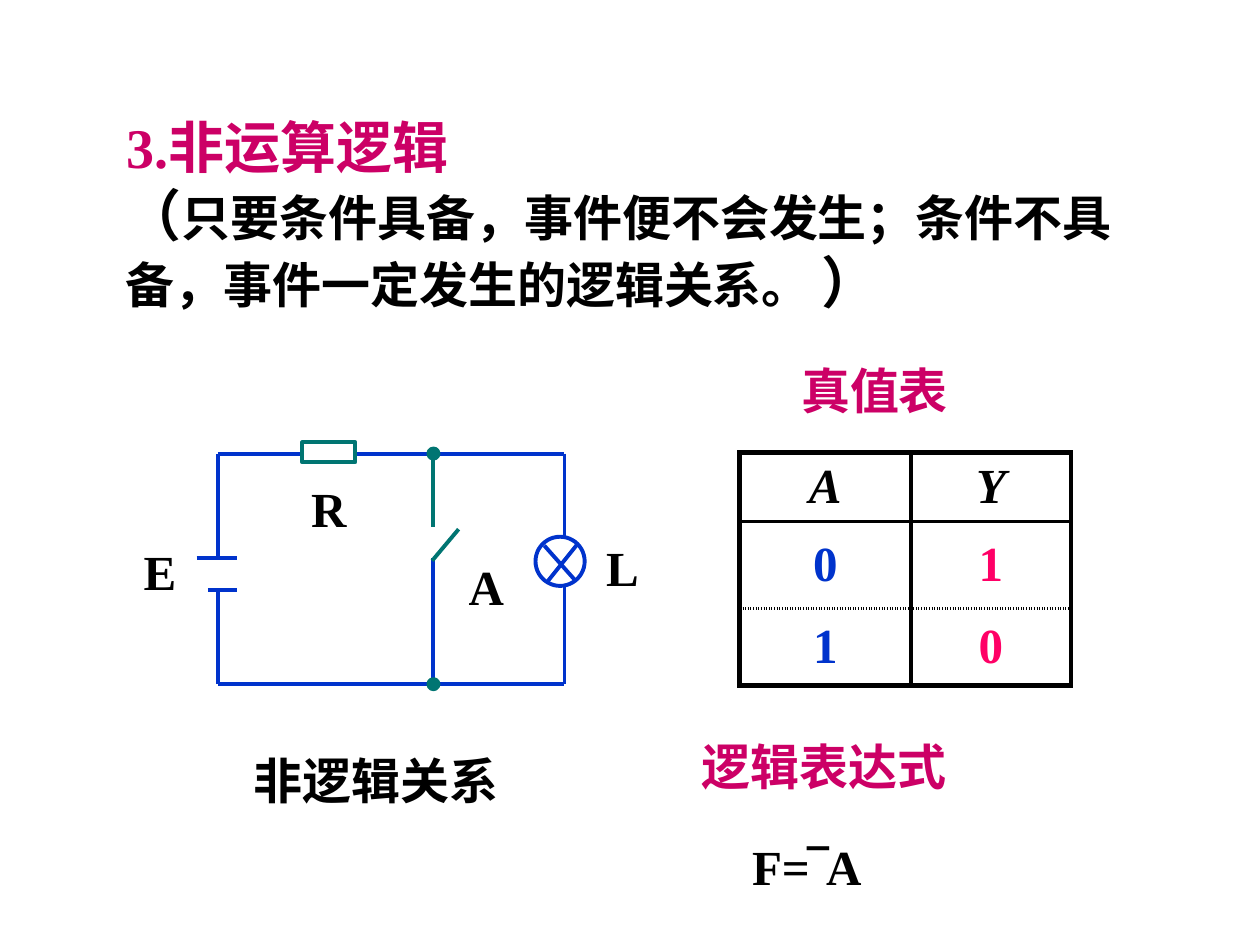
from dataclasses import dataclass

from lxml import etree
from pptx import Presentation
from pptx.dml.color import RGBColor
from pptx.enum.shapes import MSO_CONNECTOR, MSO_SHAPE
from pptx.enum.text import MSO_ANCHOR, MSO_AUTO_SIZE, PP_ALIGN
from pptx.oxml.ns import qn
from pptx.util import Inches, Pt

STRAIGHT = MSO_CONNECTOR.STRAIGHT
OVAL, RECTANGLE = MSO_SHAPE.OVAL, MSO_SHAPE.RECTANGLE
LEFT, CENTER = PP_ALIGN.LEFT, PP_ALIGN.CENTER
TOP, MIDDLE = MSO_ANCHOR.TOP, MSO_ANCHOR.MIDDLE
NO_AUTOFIT = MSO_AUTO_SIZE.NONE


@dataclass(frozen=True)
class Theme:
    font: str = "Times New Roman"
    symbol_font: str = "Arial"
    black: str = "000000"
    white: str = "FFFFFF"
    heading: str = "CC0066"
    blue: str = "0033CC"
    teal: str = "007572"
    output: str = "FF0066"
    heading_size: int = 32
    body_size: int = 28
    thin: float = 2.25
    thick: float = 3


THEME = Theme()


def color(value):
    return RGBColor.from_string(value)


def style_paragraph(paragraph, text_color, size=THEME.body_size, align=LEFT, italic=False):
    paragraph.alignment = align
    font = paragraph.font
    font.name, font.size = THEME.font, Pt(size)
    font.bold, font.italic = True, italic
    font.color.rgb = color(text_color)


def place(shape, box):
    shape.left, shape.top, shape.width, shape.height = map(Inches, box)


def add_text(shapes, text, box, text_color=THEME.black, align=LEFT, margins=(0.1, 0.05)):
    frame = shapes.add_textbox(*map(Inches, box)).text_frame
    frame.word_wrap = True
    frame.margin_left = frame.margin_right = Inches(margins[0])
    frame.margin_top = frame.margin_bottom = Inches(margins[1])
    paragraph = frame.paragraphs[0]
    paragraph.text = text
    style_paragraph(paragraph, text_color, align=align)
    return paragraph


def add_label(shapes, text, box):
    add_text(shapes, text, box, align=CENTER, margins=(0.02, 0.01))


def add_wire(shapes, start, end, line_color=THEME.blue):
    wire = shapes.add_connector(STRAIGHT, *map(Inches, start + end))
    wire.line.color.rgb = color(line_color)
    wire.line.width = Pt(THEME.thin)
    etree.SubElement(wire._element.spPr, qn("a:effectLst"))


def add_part(shapes, kind, box, line_color, fill=None):
    part = shapes.add_shape(kind, *map(Inches, box))
    part.shadow.inherit = False
    part.line.color.rgb = color(line_color)
    part.line.width = Pt(THEME.thin)
    if fill:
        part.fill.solid()
        part.fill.fore_color.rgb = color(fill)
    else:
        part.fill.background()


def add_title(slide):
    title = slide.shapes.title
    place(title, (0.9, 0.84, 8.19, 0.6))
    frame = title.text_frame
    frame.auto_size = NO_AUTOFIT
    frame.vertical_anchor = TOP
    paragraph = frame.paragraphs[0]
    paragraph.text = "3.非运算逻辑"
    style_paragraph(paragraph, THEME.heading, THEME.heading_size)


def add_definition(shapes):
    paragraph = add_text(shapes, "", (0.9, 1.38, 8.19, 1.16))
    sentence = "只要条件具备，事件便不会发生；条件不具备，事件一定发生的逻辑关系。 "
    for text, size in (
        ("（", THEME.heading_size),
        (sentence, THEME.body_size),
        ("）", THEME.heading_size),
    ):
        run = paragraph.add_run()
        run.text = text
        run.font.size = Pt(size)


def add_circuit(slide):
    shapes = slide.shapes.add_group_shape().shapes
    left, switch, right = 1.73, 3.44, 4.48
    top, bottom = 3.6, 5.43
    for start, end in (
        ((left, top), (right, top)),
        ((left, bottom), (right, bottom)),
        ((left, top), (left, 4.43)),
        ((left, 4.68), (left, bottom)),
        ((1.56, 4.43), (1.88, 4.43)),
        ((1.65, 4.68), (1.88, 4.68)),
        ((switch, 4.43), (switch, bottom)),
        ((right, top), (right, 4.26)),
        ((right, 4.66), (right, bottom)),
        ((4.59, 4.31), (4.35, 4.61)),
        ((4.32, 4.33), (4.56, 4.6)),
    ):
        add_wire(shapes, start, end)
    add_wire(shapes, (switch, top), (switch, 4.18), THEME.teal)
    add_wire(shapes, (3.43, 4.45), (3.64, 4.2), THEME.teal)
    for y in (top, bottom):
        add_part(shapes, OVAL, (switch - 0.04, y - 0.04, 0.08, 0.08), THEME.teal, THEME.teal)
    add_part(shapes, OVAL, (4.25, 4.26, 0.39, 0.39), THEME.blue)
    add_part(shapes, RECTANGLE, (2.4, 3.51, 0.42, 0.16), THEME.teal, THEME.white)
    for text, x, y in (("E", 1.06, 4.29), ("R", 2.4, 3.79), ("A", 3.65, 4.41), ("L", 4.73, 4.26)):
        add_label(shapes, text, (x, y, 0.42, 0.49))


def set_border(cell, side, width, dash="solid"):
    line = etree.SubElement(cell._tc.get_or_add_tcPr(), qn(f"a:{side}"), w=str(Pt(width)))
    fill = etree.SubElement(line, qn("a:solidFill"))
    etree.SubElement(fill, qn("a:srgbClr"), val=THEME.black)
    etree.SubElement(line, qn("a:prstDash"), val=dash)


def add_truth_table(shapes):
    rows = (("A", "Y"), ("0", "1"), ("1", "0"))
    heights, widths = (0.55, 0.69, 0.61), (1.36, 1.27)
    frame = shapes.add_table(3, 2, *map(Inches, (5.87, 3.59, sum(widths), sum(heights))))
    table = frame.table
    table.first_row = table.horz_banding = False
    for column, width in zip(table.columns, widths):
        column.width = Inches(width)
    rules = ((THEME.thick,), (THEME.thin,), (THEME.thin, "sysDot"), (THEME.thick,))
    edges = (THEME.thick, THEME.thin, THEME.thick)
    for i, (values, height) in enumerate(zip(rows, heights)):
        table.rows[i].height = Inches(height)
        for j, value in enumerate(values):
            cell = table.cell(i, j)
            cell.margin_left = cell.margin_right = cell.margin_top = cell.margin_bottom = 0
            cell.vertical_anchor = MIDDLE
            paragraph = cell.text_frame.paragraphs[0]
            paragraph.text = value
            text_color = (THEME.blue, THEME.output)[j] if i else THEME.black
            style_paragraph(paragraph, text_color, align=CENTER, italic=i == 0)
            set_border(cell, "lnL", edges[j])
            set_border(cell, "lnR", edges[j + 1])
            set_border(cell, "lnT", *rules[i])
            set_border(cell, "lnB", *rules[i + 1])
            cell.fill.background()


def add_formula(shapes):
    paragraph = add_text(shapes, "", (5.87, 6.59, 3.15, 0.57))
    for text, font in (("F=", THEME.font), ("‾", THEME.symbol_font), ("A", THEME.font)):
        run = paragraph.add_run()
        run.text = text
        run.font.name = font


def main():
    presentation = Presentation()
    presentation.slide_width, presentation.slide_height = Inches(10), Inches(7.5)
    slide = presentation.slides.add_slide(presentation.slide_layouts[5])
    shapes = slide.shapes
    add_title(slide)
    add_definition(shapes)
    add_circuit(slide)
    add_label(shapes, "非逻辑关系", (0.9, 5.95, 4.17, 0.49))
    add_text(shapes, "真值表", (6.26, 2.81, 2.08, 0.57), THEME.heading)
    add_truth_table(shapes)
    add_text(shapes, "逻辑表达式", (5.47, 5.8, 3.15, 0.57), THEME.heading)
    add_formula(shapes)
    presentation.save("out.pptx")


if __name__ == "__main__":
    main()
